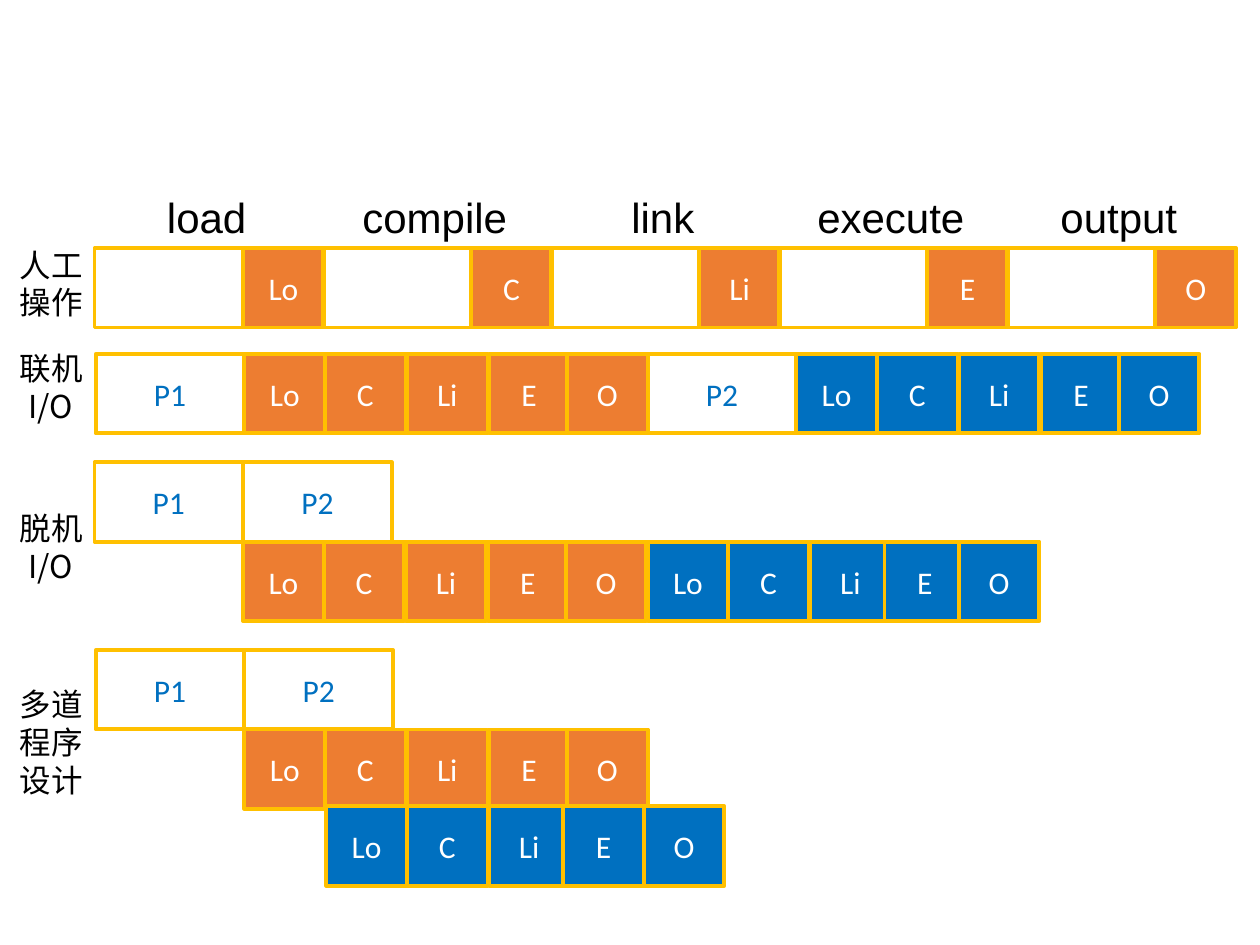
from lxml.etree import SubElement
from pptx import Presentation
from pptx.dml.color import RGBColor
from pptx.enum.shapes import MSO_SHAPE
from pptx.enum.text import MSO_ANCHOR, MSO_AUTO_SIZE, PP_ALIGN
from pptx.oxml.ns import qn
from pptx.util import Inches, Pt

ORANGE, BLUE, GOLD = "ED7D31", "0070C0", "FFC000"
WHITE, BLACK = "FFFFFF", "000000"
CHINESE_FONT = "Noto Sans CJK SC"
STAGES = ("Lo", "C", "Li", "E", "O")
INPUT_WIDTH, STAGE_WIDTH, ROW_HEIGHT = 1.18, 0.64, 0.63
EVEN_STEPS = (0, 0.64, 1.29, 1.94, 2.56)
TIGHT_STEPS = (0, 0.64, 1.29, 1.88, 2.47)
OVERLAP_STEPS = (0, 0.64, 1.29, 1.88, 2.52)
MANUAL_LEFT, MANUAL_TOP, MANUAL_PITCH = 0.75, 1.97, 1.81
HEADINGS = (("load", 0.84), ("compile", 1.36), ("link", 0.71),
            ("execute", 1.38), ("output", 1.14))
ROW_LABELS = ((("人工操作",), 1.9, 0.71), (("联机I/O",), 2.72, 0.71),
              (("脱机I/O",), 3.99, 0.71), (("多道", "程序", "设计"), 5.39, 1.01))


def color(hex_code):
    return RGBColor.from_string(hex_code)


def write(frame, lines, size, font, hex_code):
    frame.text = "\n".join(lines)
    for para in frame.paragraphs:
        para.alignment = PP_ALIGN.CENTER
        for span in para.runs:
            span.font.size = Pt(size)
            span.font.name = font
            span.font.color.rgb = color(hex_code)
            if font == CHINESE_FONT:
                SubElement(span.font._element, qn("a:ea"), typeface=font)


def add_cell(page, left, top, width, text="", fill=None):
    box = page.shapes.add_shape(MSO_SHAPE.RECTANGLE, Inches(left), Inches(top),
                                Inches(width), Inches(ROW_HEIGHT))
    box.shadow.inherit = False
    box.line.color.rgb = color(GOLD)
    box.line.width = Pt(2.25)
    if fill:
        box.fill.solid()
        box.fill.fore_color.rgb = color(fill)
    else:
        box.fill.background()
    if text:
        box.text_frame.vertical_anchor = MSO_ANCHOR.MIDDLE
        write(box.text_frame, [text], 18, "Calibri", WHITE if fill else BLUE)


def add_job(page, left, top, fill, steps=EVEN_STEPS):
    """Draw the five stages of one program, offset from left by steps."""
    for stage, step in zip(STAGES, steps):
        add_cell(page, left + step, top, STAGE_WIDTH, stage, fill)


def add_inputs(page, left, top):
    for index, program in enumerate(("P1", "P2")):
        add_cell(page, left + index * INPUT_WIDTH, top, INPUT_WIDTH, program)


def add_label(page, left, top, width, height, lines, size, font, wrap):
    box = page.shapes.add_textbox(Inches(left), Inches(top),
                                  Inches(width), Inches(height))
    box.text_frame.word_wrap = wrap
    box.text_frame.auto_size = MSO_AUTO_SIZE.SHAPE_TO_FIT_TEXT
    write(box.text_frame, lines, size, font, BLACK)


def add_manual_row(page):
    for index, (stage, (heading, width)) in enumerate(zip(STAGES, HEADINGS)):
        left = MANUAL_LEFT + index * MANUAL_PITCH
        add_cell(page, left, MANUAL_TOP, INPUT_WIDTH)
        add_cell(page, left + INPUT_WIDTH, MANUAL_TOP, STAGE_WIDTH, stage, ORANGE)
        center = left + 0.89
        add_label(page, center - width / 2, MANUAL_TOP - 0.5, width, 0.5,
                  [heading], 24, "Arial", False)


def add_online_row(page):
    top = 2.81
    for left, program, fill in ((0.76, "P1", ORANGE), (5.14, "P2", BLUE)):
        add_cell(page, left, top, INPUT_WIDTH, program)
        add_job(page, left + INPUT_WIDTH, top, fill)


def add_offline_rows(page):
    add_inputs(page, 0.75, 3.67)
    add_job(page, 1.93, 4.3, ORANGE)
    add_job(page, 5.14, 4.3, BLUE, TIGHT_STEPS)


def add_multiprogramming_rows(page):
    add_inputs(page, 0.76, 5.16)
    add_job(page, 1.94, 5.79, ORANGE)
    add_job(page, 2.59, 6.4, BLUE, OVERLAP_STEPS)


def main():
    deck = Presentation()
    deck.slide_width, deck.slide_height = Inches(10), Inches(7.5)
    page = deck.slides.add_slide(deck.slide_layouts[6])
    add_manual_row(page)
    add_online_row(page)
    add_offline_rows(page)
    add_multiprogramming_rows(page)
    for lines, top, height in ROW_LABELS:
        add_label(page, 0, top, 0.81, height, lines, 18, CHINESE_FONT, True)
    deck.save("out.pptx")


if __name__ == "__main__":
    main()
